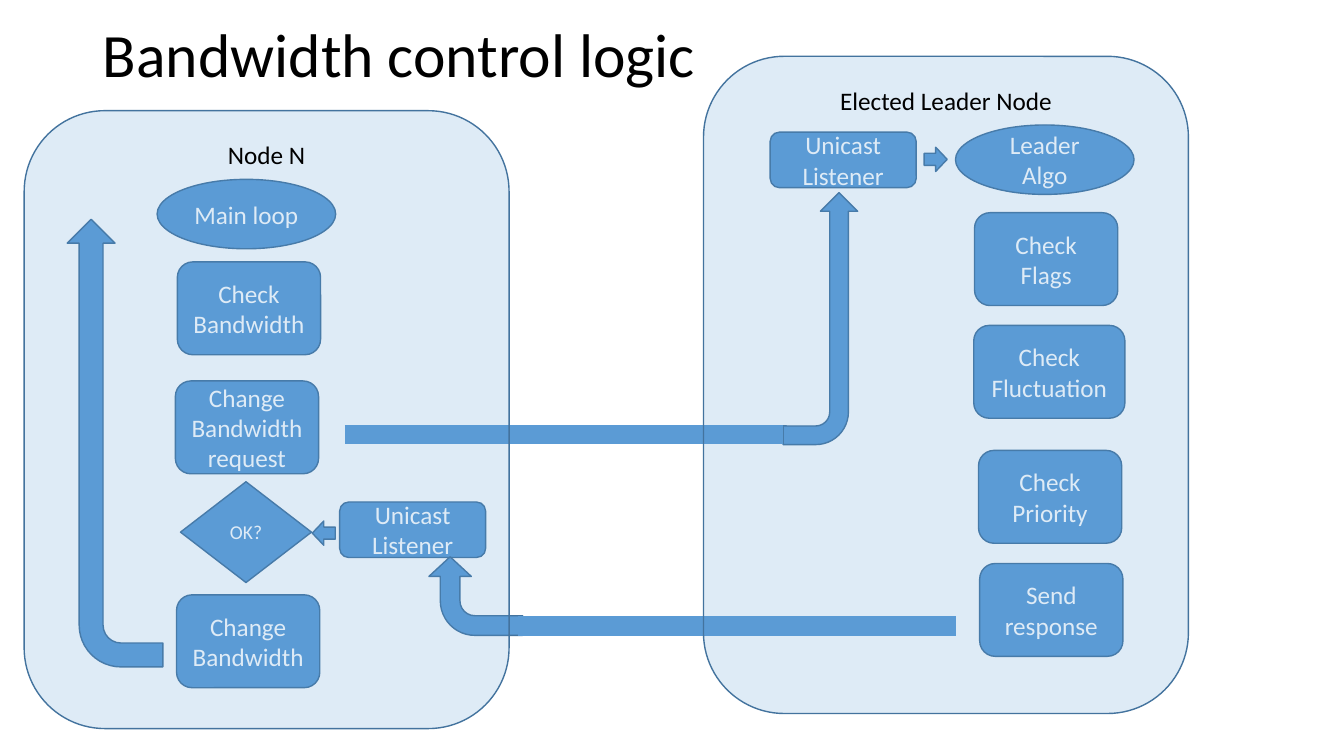
from lxml import etree
from pptx import Presentation
from pptx.dml.color import RGBColor
from pptx.enum.shapes import MSO_CONNECTOR, MSO_SHAPE
from pptx.enum.text import MSO_ANCHOR, PP_ALIGN
from pptx.oxml.ns import qn
from pptx.util import Cm, Pt

ROUNDED = MSO_SHAPE.ROUNDED_RECTANGLE
OVAL = MSO_SHAPE.OVAL
DIAMOND = MSO_SHAPE.DIAMOND
BENT_ARROW = MSO_SHAPE.BENT_ARROW
LEFT_ARROW = MSO_SHAPE.LEFT_ARROW
STRAIGHT = MSO_CONNECTOR.STRAIGHT
TOP, MIDDLE = MSO_ANCHOR.TOP, MSO_ANCHOR.MIDDLE
LEFT, CENTER = PP_ALIGN.LEFT, PP_ALIGN.CENTER

FONT = "Calibri"
BLUE, OUTLINE, WHITE, BLACK = "5B9BD5", "43739E", "FFFFFF", "000000"
STEP = (3.61, 2.34)
WIDE_STEP = (3.81, 2.34)
LISTENER = (3.68, 1.4)
START = (4.5, 1.75)
DECISION = (3.3, 2.54)
SMALL_ARROW = (0.58, 0.61)

NODE_STEPS = [
    ("Check Bandwidth", (4.47, 6.6), STEP),
    ("Change Bandwidth\nrequest", (4.42, 9.6), STEP),
    ("Change Bandwidth", (4.45, 14.99), STEP),
    ("Unicast\nListener", (8.56, 12.65), LISTENER),
]
LEADER_STEPS = [
    ("Unicast\nListener", (19.41, 3.33), LISTENER),
    ("Check Flags", (24.56, 5.36), STEP),
    ("Check Fluctuation", (24.54, 8.2), WIDE_STEP),
    ("Check Priority", (24.66, 11.35), STEP),
    ("Send response", (24.69, 14.2), STEP),
]


def color(value):
    return RGBColor.from_string(value)


def write_text(shape, text, size=18, font_color=WHITE, align=CENTER, anchor=MIDDLE, spacing=None):
    frame = shape.text_frame
    frame.text = text
    frame.word_wrap = True
    frame.vertical_anchor = anchor
    for paragraph in frame.paragraphs:
        paragraph.alignment = align
        paragraph.line_spacing = spacing
        paragraph.font.name = FONT
        paragraph.font.size = Pt(size)
        paragraph.font.color.rgb = color(font_color)


def add_block(slide, kind, position, size):
    """Add a blue outlined shape; position and size are in centimetres."""
    shape = slide.shapes.add_shape(kind, *map(Cm, position + size))
    shape.shadow.inherit = False
    shape.fill.solid()
    shape.fill.fore_color.rgb = color(BLUE)
    shape.line.color.rgb = color(OUTLINE)
    shape.line.width = Pt(1)
    return shape


def add_label_block(slide, kind, text, position, size, font_size=18):
    write_text(add_block(slide, kind, position, size), text, size=font_size)


def add_bent_arrow(slide, position, size, flipped=False, adjustments=()):
    """Add a bent arrow turned to point upwards."""
    arrow = add_block(slide, BENT_ARROW, position, size)
    arrow.rotation = 270
    if flipped:
        arrow._element.spPr.xfrm.set("flipV", "1")
    for index, value in enumerate(adjustments):
        arrow.adjustments[index] = value


def add_message_bar(slide, left, right, y, width):
    bar = slide.shapes.add_connector(STRAIGHT, Cm(left), Cm(y), Cm(right), Cm(y))
    bar.line.color.rgb = color(BLUE)
    bar.line.width = Pt(width)
    etree.SubElement(bar._element.spPr, qn("a:effectLst"))


def add_panel(slide, text, position, size):
    """Add a translucent panel that covers the steps of one node."""
    panel = add_block(slide, ROUNDED, position, size)
    fill_color = panel._element.spPr.find(qn("a:solidFill"))[0]
    etree.SubElement(fill_color, qn("a:alpha"), val="20000")
    write_text(panel, text, font_color=BLACK, anchor=TOP)


def add_title(slide, text):
    title = slide.shapes.title
    title.left, title.top, title.width, title.height = map(Cm, (2.34, 0.33, 29.21, 2.24))
    write_text(title, text, size=44, font_color=BLACK, align=LEFT, spacing=0.9)


def main():
    presentation = Presentation()
    presentation.slide_width, presentation.slide_height = Cm(33.87), Cm(19.05)
    slide = presentation.slides.add_slide(presentation.slide_layouts[5])
    add_title(slide, "Bandwidth control logic")

    for text, position, size in NODE_STEPS + LEADER_STEPS:
        add_label_block(slide, ROUNDED, text, position, size)
    add_label_block(slide, DIAMOND, "OK?", (4.55, 12.14), DECISION, font_size=14)
    add_label_block(slide, OVAL, "Main loop", (3.96, 4.52), START)
    add_label_block(slide, OVAL, "Leader\nAlgo", (24.08, 3.15), START)

    add_bent_arrow(slide, (-2.74, 9.96), (11.28, 2.41))
    add_bent_arrow(slide, (17.5, 7.09), (6.35, 1.88), flipped=True)
    add_bent_arrow(slide, (11, 13.84), (1.98, 2.36), adjustments=(0.25, 0.27, 0.25, 0.44))
    add_message_bar(slide, 8.69, 19.74, 10.95, 14)
    add_message_bar(slide, 13.06, 24.1, 15.77, 14.75)
    add_block(slide, LEFT_ARROW, (7.87, 13.13), SMALL_ARROW)
    add_block(slide, LEFT_ARROW, (23.29, 3.71), SMALL_ARROW).rotation = 180

    add_panel(slide, "Node N", (0.61, 2.79), (12.22, 15.57))
    add_panel(slide, "Elected Leader Node", (17.73, 1.42), (12.22, 16.56))
    presentation.save("out.pptx")


if __name__ == "__main__":
    main()
